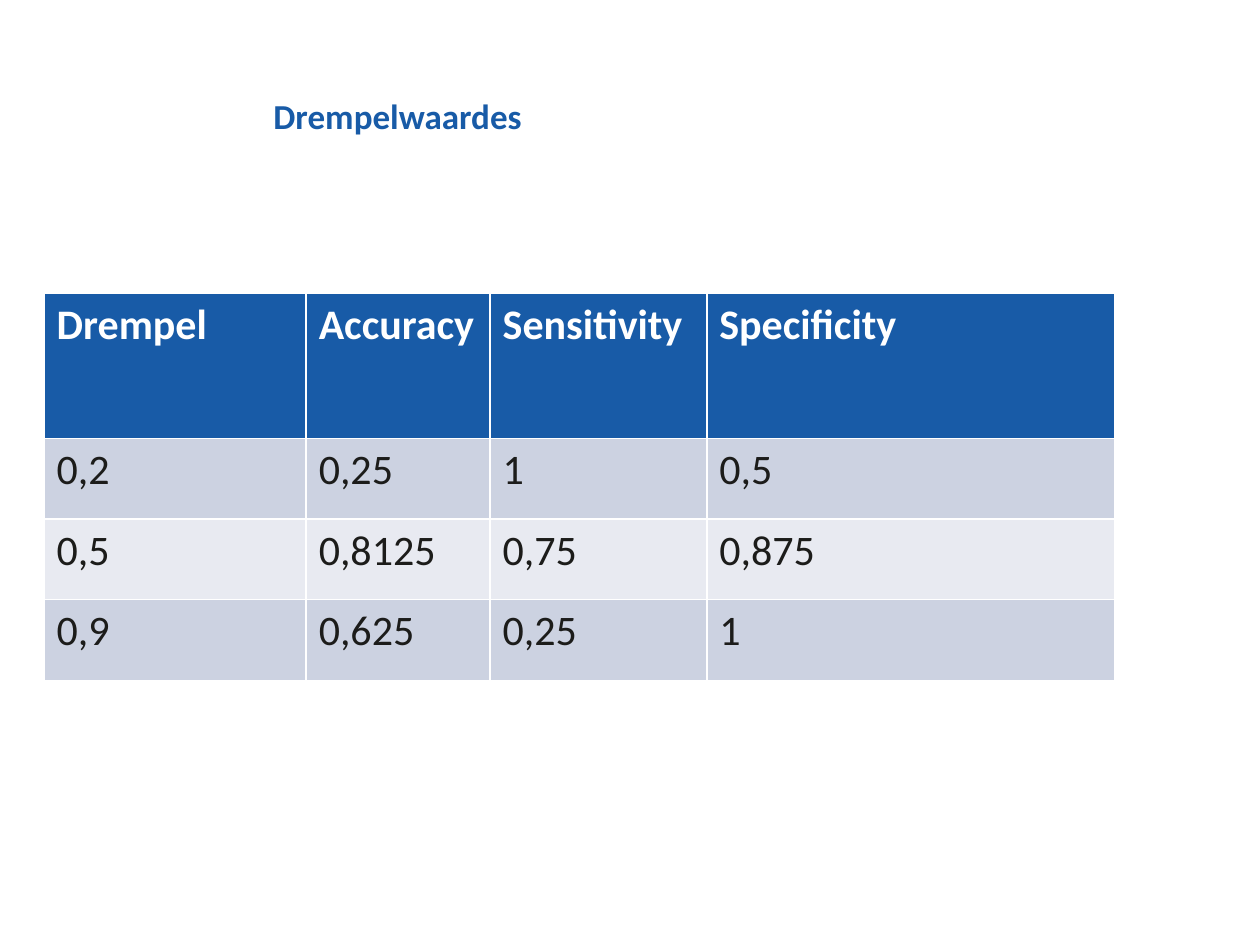
"""Build a slide with a table of threshold values and their scores."""
from pptx import Presentation
from pptx import util as u
from pptx.dml.color import RGBColor
from pptx.enum import text

TITLE = "Drempelwaardes"
ROWS = [
    ("Drempel", "Accuracy", "Sensitivity", "Specificity"),
    ("0,2", "0,25", "1", "0,5"),
    ("0,5", "0,8125", "0,75", "0,875"),
    ("0,9", "0,625", "0,25", "1"),
]
COLUMN_WIDTHS = (2.08, 1.46, 1.72, 3.24)
HEADER_HEIGHT, ROW_HEIGHT = 1.15, 0.64
BLUE, WHITE, DARK = "185BA7", "FFFFFF", "1C1C1A"
BANDS = ("CCD2E1", "E8EAF1")
TITLE_FRAME = {
    "margin_left": 0, "margin_top": 0, "margin_right": 0, "margin_bottom": 0,
    "vertical_anchor": text.MSO_ANCHOR.MIDDLE, "word_wrap": True,
    "auto_size": text.MSO_AUTO_SIZE.NONE,
}


def set_attributes(target, values):
    for name, value in values.items():
        setattr(target, name, value)


def set_color(color_format, hex_color):
    color_format.rgb = RGBColor.from_string(hex_color)


def write(frame, content, size, color, bold):
    paragraph = frame.paragraphs[0]
    run = paragraph.add_run()
    run.text = content
    set_attributes(run.font, {"name": "Calibri", "size": u.Pt(size), "bold": bold})
    set_color(run.font.color, color)
    return paragraph


def add_title(slide):
    title = slide.shapes.title
    set_attributes(title, {
        "left": u.Inches(2.17), "top": u.Inches(0.75),
        "width": u.Inches(7.04), "height": u.Inches(0.38),
    })
    set_attributes(title.text_frame, TITLE_FRAME)
    paragraph = write(title.text_frame, TITLE, 20, BLUE, True)
    set_attributes(paragraph, {"alignment": text.PP_ALIGN.LEFT, "line_spacing": 0.9})


def add_scores(slide):
    heights = [HEADER_HEIGHT] + [ROW_HEIGHT] * (len(ROWS) - 1)
    table = slide.shapes.add_table(
        len(ROWS), len(COLUMN_WIDTHS), u.Inches(0.35), u.Inches(2.33),
        u.Inches(sum(COLUMN_WIDTHS)), u.Inches(sum(heights)),
    ).table
    for column, width in zip(table.columns, COLUMN_WIDTHS):
        column.width = u.Inches(width)
    for index, (row, height, values) in enumerate(zip(table.rows, heights, ROWS)):
        row.height = u.Inches(height)
        header = index == 0
        fill = BLUE if header else BANDS[(index - 1) % 2]
        for cell, value in zip(row.cells, values):
            cell.fill.solid()
            set_color(cell.fill.fore_color, fill)
            write(cell.text_frame, value, 24, WHITE if header else DARK, header)


def main():
    presentation = Presentation()
    set_attributes(presentation, {"slide_width": u.Inches(10), "slide_height": u.Inches(7.5)})
    slide = presentation.slides.add_slide(presentation.slide_layouts[5])
    add_title(slide)
    add_scores(slide)
    presentation.save("out.pptx")


if __name__ == "__main__":
    main()
